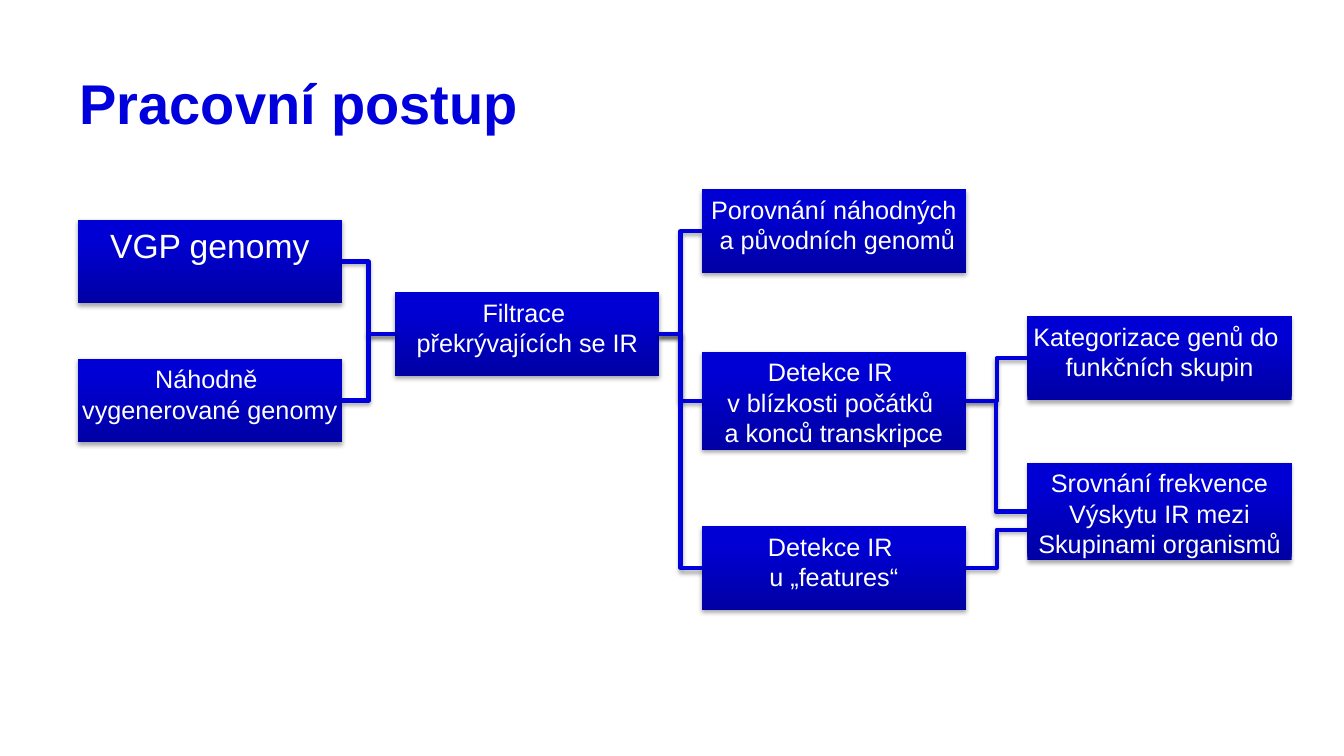
from pptx import Presentation, util as u
from pptx.dml.color import RGBColor
from pptx.enum import shapes, text
from pptx.oxml import parse_xml
from pptx.oxml.ns import nsdecls, qn

BLUE, WHITE, FONT = "0000DC", "FFFFFF", "Arial"
STOPS = [(0, "0000A4"), (80, "0000D5"), (100, "0000D6")]


def color(hex_value):
    return RGBColor.from_string(hex_value)


def add_shadow(item):
    item._element.spPr.append(parse_xml(
        f'<a:effectLst {nsdecls("a")}>'
        '<a:outerShdw blurRad="40000" dist="23000" dir="5400000" rotWithShape="0">'
        '<a:srgbClr val="000000"><a:alpha val="35000"/></a:srgbClr>'
        '</a:outerShdw></a:effectLst>'))


deck = Presentation()
deck.slide_width, deck.slide_height = u.Inches(13.33), u.Inches(7.5)
slide = deck.slides.add_slide(deck.slide_layouts[6])

# Title
heading = slide.shapes.add_textbox(
    u.Inches(0.79), u.Inches(0.79), u.Inches(11.76), u.Inches(0.49)).text_frame
heading.margin_left = heading.margin_right = heading.margin_top = heading.margin_bottom = 0
heading.word_wrap = True
heading.text = "Pracovní postup"
title = heading.paragraphs[0]
title.line_spacing = u.Pt(40)
title.font.name, title.font.size, title.font.bold = FONT, u.Pt(40), True
title.font.color.rgb = color(BLUE)

# Workflow steps: column, top, height, text size, wording
COLUMNS = [0.77, 3.92, 6.96, 10.19]
STEP_WIDTH, LOW, TALL = 2.62, 0.83, 0.97
STEPS = {
    "genomes": (0, 2.18, LOW, 24, "VGP genomy"),
    "random": (0, 3.56, LOW, 18, "Náhodně \nvygenerované genomy"),
    "filter": (1, 2.9, LOW, 18, "Filtrace \npřekrývajících se IR"),
    "compare": (2, 1.88, LOW, 18, "Porovnání náhodných\n a původních genomů"),
    "ends": (2, 3.49, TALL, 18,
             "Detekce IR \nv blízkosti počátků \na konců transkripce"),
    "features": (2, 5.22, LOW, 18, "Detekce IR \nu „features“"),
    "categories": (3, 3.14, LOW, 18, "Kategorizace genů do \nfunkčních skupin"),
    "frequency": (3, 4.59, TALL, 18,
                  "Srovnání frekvence\nVýskytu IR mezi\nSkupinami organismů"),
}
gradient = "".join(f'<a:gs pos="{share * 1000}"><a:srgbClr val="{shade}"/></a:gs>'
                   for share, shade in STOPS)
steps = {}
for key, (column, top, height, size, wording) in STEPS.items():
    step = steps[key] = slide.shapes.add_shape(
        shapes.MSO_SHAPE.RECTANGLE, u.Inches(COLUMNS[column]), u.Inches(top),
        u.Inches(STEP_WIDTH), u.Inches(height))
    step._element.spPr.append(parse_xml(
        f'<a:gradFill {nsdecls("a")} rotWithShape="1"><a:gsLst>{gradient}</a:gsLst>'
        '<a:lin ang="16200000" scaled="0"/></a:gradFill>'))
    step.line.fill.background()
    add_shadow(step)
    frame = step.text_frame
    frame.word_wrap = False
    frame.vertical_anchor = text.MSO_ANCHOR.TOP
    frame.text = wording
    for line in frame.paragraphs:
        line.alignment = text.PP_ALIGN.CENTER
        line.font.name, line.font.size = FONT, u.Pt(size)
        line.font.color.rgb = color(WHITE)

# Links: from, to, drop below the target's middle, place of the bend in %
LEFT_SIDE, RIGHT_SIDE = 1, 3
LINKS = [
    ("genomes", "filter", 0, 50),
    ("random", "filter", 0, 50),
    ("filter", "compare", 0, 50),
    ("filter", "ends", 0, 50),
    ("filter", "features", 0, 50),
    ("ends", "categories", 0, 50),
    ("features", "frequency", 0.18, 50),
    ("ends", "frequency", 0, 48.5),
]
for source, target, drop, bend in LINKS:
    start, end = steps[source], steps[target]
    link = slide.shapes.add_connector(
        shapes.MSO_CONNECTOR.ELBOW,
        start.left + start.width, start.top + start.height // 2,
        end.left, end.top + end.height // 2 + u.Inches(drop))
    link.begin_connect(start, RIGHT_SIDE)
    if not drop:
        link.end_connect(end, LEFT_SIDE)
    if bend != 50:
        geometry = link._element.spPr.find(qn("a:prstGeom"))
        geometry.find(qn("a:avLst")).append(parse_xml(
            f'<a:gd {nsdecls("a")} name="adj1" fmla="val {round(bend * 1000)}"/>'))
    link.line.color.rgb = color(BLUE)
    link.line.width = u.Pt(3)
    add_shadow(link)

deck.save("out.pptx")
